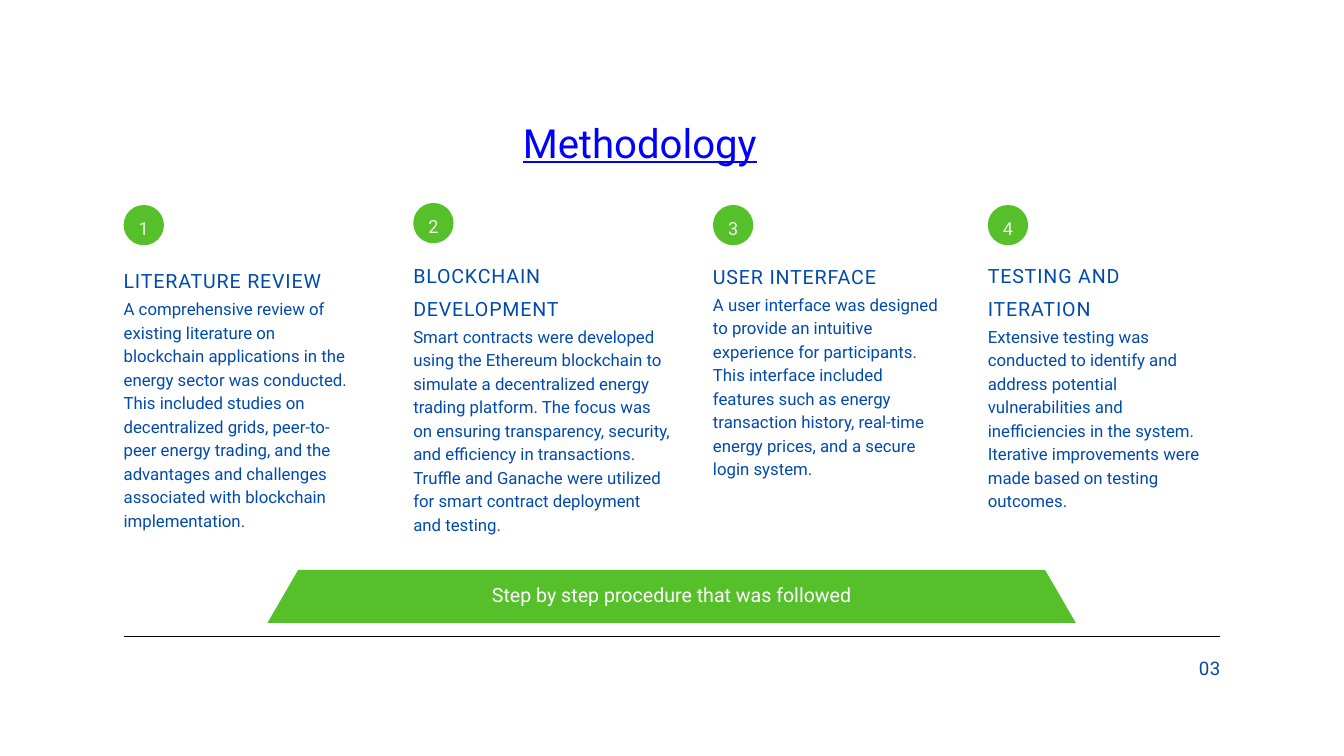
from pptx import Presentation
from pptx.dml.color import RGBColor as Rgb
from pptx.enum.shapes import MSO_CONNECTOR as Link, MSO_SHAPE as Form
from pptx.enum.text import MSO_ANCHOR as Anchor, PP_ALIGN as Align
from pptx.oxml.ns import qn
from pptx.util import Inches, Pt

HUES = {"blue": "004AAD", "green": "56C02B", "cream": "F1EFE1",
        "white": "FFFFFF", "black": "000000", "title": "0000FF"}
COLS, ROWS = 20, 11.25
LEFT, RIGHT = 1.84, 18.16
STEPS = [
    (1.84, 3.46, 3.05, 3.87, 1, "LITERATURE REVIEW",
     "A comprehensive review of existing literature on blockchain applications in the "
     "energy sector was conducted. This included studies on decentralized grids, "
     "peer-to-peer energy trading, and the advantages and challenges associated with "
     "blockchain implementation."),
    (6.15, 3.85, 3.02, 3.8, 2, "BLOCKCHAIN DEVELOPMENT",
     "Smart contracts were developed using the Ethereum blockchain to simulate a "
     "decentralized energy trading platform. The focus was on ensuring transparency, "
     "security, and efficiency in transactions. Truffle and Ganache were utilized for "
     "smart contract deployment and testing."),
    (10.61, 3.46, 3.05, 3.8, 1, "USER INTERFACE",
     "A user interface was designed to provide an intuitive experience for participants. "
     "This interface included features such as energy transaction history, real-time "
     "energy prices, and a secure login system."),
    (14.7, 3.46, 3.05, 3.8, 2, "TESTING AND ITERATION",
     "Extensive testing was conducted to identify and address potential vulnerabilities "
     "and inefficiencies in the system. Iterative improvements were made based on "
     "testing outcomes."),
]


class Deck:
    """Holds the style and the current slide, measured in grid columns and rows."""

    def __init__(self):
        self.prs = Presentation()
        self.prs.slide_width, self.prs.slide_height = Inches(20), Inches(11.25)
        self.slide = self.prs.slides.add_slide(self.prs.slide_layouts[5])
        self.shapes = self.slide.shapes

    def span(self, x, y, *size):
        wide, high = self.prs.slide_width / COLS, self.prs.slide_height / ROWS
        return [round(n * unit) for n, unit in zip((x, y, *size), (wide, high) * 2)]

    def label(self, shape, text, size, hue, lead, align=Align.LEFT, gap=0,
              anchor=Anchor.TOP, top=0, foot=0, under=None):
        frame = shape.text_frame
        frame.word_wrap, frame.vertical_anchor = True, anchor
        frame.margin_left = frame.margin_right = 0
        frame.margin_top, frame.margin_bottom = Inches(top), Inches(foot)
        para = frame.paragraphs[0]
        para.alignment, para.line_spacing = align, Pt(lead)
        run = para.add_run()
        run.text = text
        font = run.font
        font.name, font.size, font.underline = "Roboto", Pt(size), under
        font.color.rgb = Rgb.from_string(HUES[hue])
        if gap:
            run._r.get_or_add_rPr().set("spc", str(round(gap * 100)))

    def title(self, area, text):
        shape = self.shapes.title
        shape.left, shape.top, shape.width, shape.height = self.span(*area)
        self.label(shape, text, 43, "title", 60.2, Align.CENTER, under=True)

    def text(self, area, text, size, lead, **style):
        box = self.shapes.add_textbox(*self.span(*area))
        self.label(box, text, size, "blue", lead, **style)

    def form(self, kind, area):
        shape = self.shapes.add_shape(kind, *self.span(*area))
        shape.shadow.inherit = False
        shape.fill.solid()
        shape.fill.fore_color.rgb = Rgb.from_string(HUES["green"])
        shape.line.fill.background()
        return shape

    def badge(self, x, y, text):
        shape = self.form(Form.OVAL, (x, y, 0.6, 0.6))
        self.label(shape, text, 19.4, "cream", 32.2, Align.CENTER, gap=0.8,
                   anchor=Anchor.MIDDLE, foot=0.04)

    def banner(self, area, text):
        shape = self.form(Form.TRAPEZOID, area)
        shape.adjustments[0] = 0.58
        self.label(shape, text, 21, "white", 29.4, Align.CENTER, top=0.11)

    def rule(self, y):
        line = self.shapes.add_connector(
            Link.STRAIGHT, *self.span(LEFT, y), *self.span(RIGHT, y))
        line.line.width = Pt(0.75)
        line.line.color.rgb = Rgb.from_string(HUES["black"])
        props = line._element.spPr
        props.append(props.makeelement(qn("a:effectLst"), {}))

    def step(self, num, x, wide, dot, top, lines, head, body):
        self.badge(x, dot, num)
        drop = 0.53 + 0.48 * (lines - 1)
        self.text((x, top, wide, drop - 0.11), head, 21, 34.9, gap=0.9)
        self.text((x, top + drop, wide, 3.4), body, 18, 25.2)


def main():
    deck = Deck()
    deck.title((4.68, 1.64, 9.68, 0.82), "Methodology")
    deck.rule(9.47)
    deck.banner((3.98, 8.48, 12.03, 0.79), "Step by step procedure that was followed")
    for num, step in enumerate(STEPS, 1):
        deck.step(str(num), *step)
    deck.text((RIGHT - 2, 9.72, 2, 0.38), "03", 20, 28, align=Align.RIGHT, gap=0.4)
    deck.prs.save("out.pptx")


if __name__ == "__main__":
    main()
